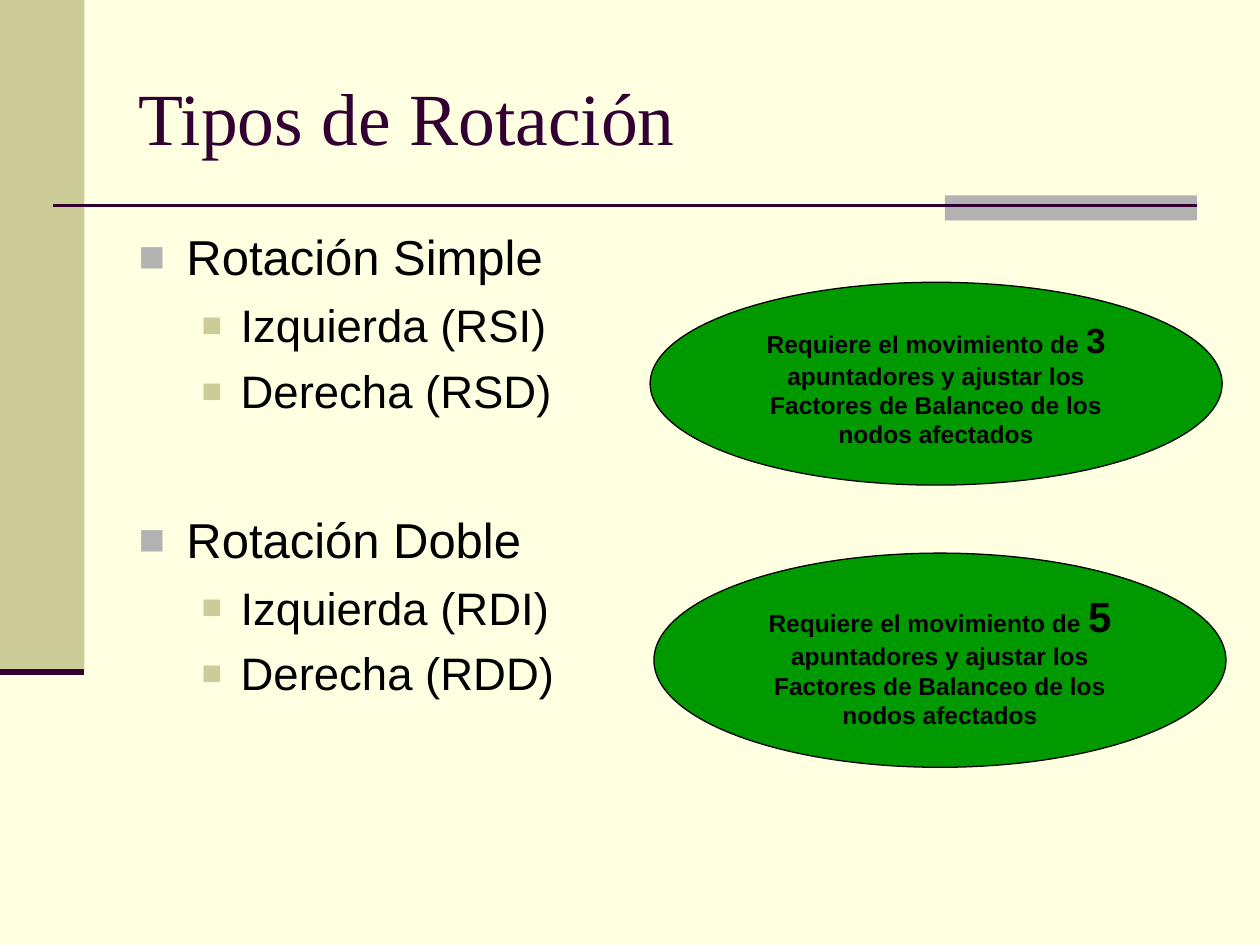
from lxml import etree
from pptx import Presentation
from pptx.dml.color import RGBColor
from pptx.enum.shapes import MSO_CONNECTOR, MSO_SHAPE
from pptx.enum.text import MSO_ANCHOR, MSO_AUTO_SIZE, PP_ALIGN
from pptx.oxml.ns import qn
from pptx.util import Inches, Pt

RECTANGLE, ELLIPSE = MSO_SHAPE.RECTANGLE, MSO_SHAPE.OVAL
STRAIGHT = MSO_CONNECTOR.STRAIGHT
TOP, MIDDLE = MSO_ANCHOR.TOP, MSO_ANCHOR.MIDDLE
LEFT, CENTER = PP_ALIGN.LEFT, PP_ALIGN.CENTER
FIXED_SIZE = MSO_AUTO_SIZE.NONE

CREAM, SAND, GRAY = "FFFFE1", "CCCC99", "B2B2B2"
PLUM, GREEN, BLACK = "330033", "009900", "000000"

LEVELS = [
    {"margin": 0.38, "hanging": 0.38, "bullet": GRAY, "share": 90, "size": 28},
    {"margin": 0.81, "hanging": 0.31, "bullet": SAND, "share": 75, "size": 26},
]
ROTATIONS = [
    (0, "Rotación Simple", 0),
    (1, "Izquierda (RSI)", 6.5),
    (1, "Derecha (RSD)", 6.5),
    (0, "Rotación Doble", 52.5),
    (1, "Izquierda (RDI)", 6.5),
    (1, "Derecha (RDD)", 6.5),
]
COSTS = [
    ((5.16, 2.24, 4.54, 1.61), "3", 20, 14),
    ((5.19, 4.39, 4.54, 1.7), "5", 24, 18),
]


def color(value):
    """Turn a hex string into a colour."""
    return RGBColor.from_string(value)


def style(font, size, name="Arial", ink=BLACK, bold=False):
    """Set size, typeface, colour and weight of a font."""
    font.size, font.name, font.bold = Pt(size), name, bold
    font.color.rgb = color(ink)


def place(placeholder, box, anchor):
    """Move a placeholder and fix how its text sits."""
    placeholder.left, placeholder.top, placeholder.width, placeholder.height = map(Inches, box)
    frame = placeholder.text_frame
    frame.word_wrap, frame.auto_size, frame.vertical_anchor = True, FIXED_SIZE, anchor
    return frame


def add_block(slide, kind, box, fill):
    """Add a filled shape without outline or shadow."""
    block = slide.shapes.add_shape(kind, *map(Inches, box))
    block.shadow.inherit = False
    block.fill.solid()
    block.fill.fore_color.rgb = color(fill)
    block.line.fill.background()
    return block


def add_rule(slide, left, right, height, weight):
    """Add a horizontal plum line."""
    rule = slide.shapes.add_connector(STRAIGHT, *map(Inches, (left, height, right, height)))
    rule.line.color.rgb, rule.line.width = color(PLUM), Pt(weight)
    etree.SubElement(rule._element.spPr, qn("a:effectLst"))


def add_bullet(paragraph, level):
    """Give a paragraph the square bullet and indent of its level."""
    properties = paragraph._p.get_or_add_pPr()
    properties.set("marL", str(Inches(level["margin"])))
    properties.set("indent", str(-Inches(level["hanging"])))
    tint = etree.SubElement(properties, qn("a:buClr"))
    etree.SubElement(tint, qn("a:srgbClr"), val=level["bullet"])
    etree.SubElement(properties, qn("a:buSzPct"), val=str(level["share"] * 1000))
    etree.SubElement(properties, qn("a:buFont"), typeface="Arial")
    etree.SubElement(properties, qn("a:buChar"), char="■")


def fill_title(slide):
    """Write the slide title."""
    heading = place(slide.shapes.title, (1, 0.3, 8.5, 1.25), MIDDLE).paragraphs[0]
    heading.text, heading.alignment = "Tipos de Rotación", LEFT
    style(heading.runs[0].font, 42, "Times New Roman", PLUM)


def fill_rotations(slide):
    """Write the two-level list of rotations."""
    frame = place(slide.placeholders[1], (1, 1.75, 8.5, 4.95), TOP)
    frame.text = "\n".join(text for _, text, _ in ROTATIONS)
    for item, (depth, _, gap) in zip(frame.paragraphs, ROTATIONS):
        item.level = depth
        add_bullet(item, LEVELS[depth])
        item.space_before = Pt(gap)
        style(item.runs[0].font, LEVELS[depth]["size"])


def add_cost(slide, box, count, count_size, space_size):
    """Add an ellipse telling how many pointers move."""
    cost = add_block(slide, ELLIPSE, box, GREEN)
    cost.line.color.rgb, cost.line.width = color(BLACK), Pt(0.75)
    frame = cost.text_frame
    frame.word_wrap, frame.vertical_anchor = True, MIDDLE
    sentence = frame.paragraphs[0]
    sentence.alignment = CENTER
    for text, size in (
        ("Requiere el movimiento de ", 14),
        (count, count_size),
        (" ", space_size),
        ("apuntadores y ajustar los Factores de Balanceo de los nodos afectados", 14),
    ):
        part = sentence.add_run()
        part.text = text
        style(part.font, size, bold=True)


def main():
    """Build the slide and save it."""
    deck = Presentation()
    deck.slide_width, deck.slide_height = Inches(10), Inches(7.5)
    slide = deck.slides.add_slide(deck.slide_layouts[1])
    slide.background.fill.solid()
    slide.background.fill.fore_color.rgb = color(CREAM)
    add_block(slide, RECTANGLE, (0, 0, 0.67, 5.33), SAND)
    add_block(slide, RECTANGLE, (7.5, 1.55, 2, 0.2), GRAY)
    add_rule(slide, 0.42, 9.5, 1.63, 1.5)
    add_rule(slide, 0, 0.67, 5.33, 3.5)
    fill_title(slide)
    fill_rotations(slide)
    for cost in COSTS:
        add_cost(slide, *cost)
    deck.save("out.pptx")


if __name__ == "__main__":
    main()
